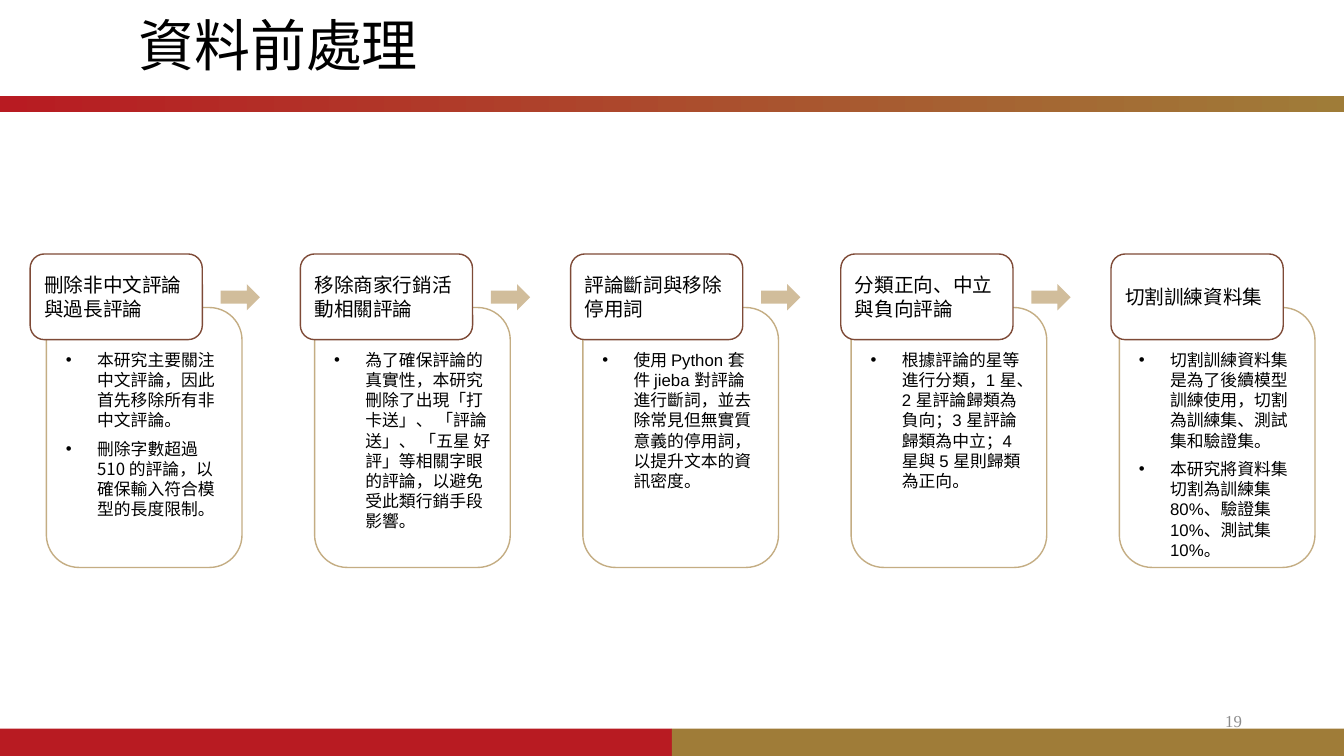
from dataclasses import dataclass

from lxml import etree
from pptx import Presentation
from pptx.dml.color import RGBColor
from pptx.enum.shapes import MSO_SHAPE
from pptx.enum.text import MSO_ANCHOR, PP_ALIGN
from pptx.oxml.ns import qn
from pptx.shapes.autoshape import Shape
from pptx.slide import Slide
from pptx.text.text import _Paragraph
from pptx.util import Cm, Pt

RECTANGLE, ROUNDED, ARROW = (
    MSO_SHAPE.RECTANGLE, MSO_SHAPE.ROUNDED_RECTANGLE, MSO_SHAPE.RIGHT_ARROW)
TOP, MIDDLE = MSO_ANCHOR.TOP, MSO_ANCHOR.MIDDLE
LEFT, RIGHT = PP_ALIGN.LEFT, PP_ALIGN.RIGHT

RED = RGBColor(0xB8, 0x1B, 0x22)
GOLD = RGBColor(0x9F, 0x7C, 0x38)
TAN = RGBColor(0xC4, 0xAD, 0x83)
SAND = RGBColor(0xD1, 0xBD, 0x9B)
BROWN = RGBColor(0x7E, 0x4A, 0x37)
WHITE = RGBColor(0xFF, 0xFF, 0xFF)
BLACK = RGBColor(0, 0, 0)
GREY = RGBColor(0x8C, 0x8C, 0x8C)

SERIF = "Times New Roman"
SANS = "Arial"
CJK_SC = "Noto Sans CJK SC"
CJK_TC = "Noto Sans CJK TC"

SLIDE_WIDTH, SLIDE_HEIGHT = 33.87, 19.05
FOOTER_HEIGHT = 0.69
HEADING_PITCH, DETAIL_PITCH = 6.81, 6.76
BULLET_INDENT = Cm(0.79)


@dataclass
class Step:
    heading: str
    details: list[str]
    font: str = SANS


STEPS = [
    Step("刪除非中文評論與過長評論",
         ["本研究主要關注中文評論，因此首先移除所有非中文評論。",
          "刪除字數超過 510 的評論，以確保輸入符合模型的長度限制。"], CJK_TC),
    Step("移除商家行銷活動相關評論",
         ["為了確保評論的真實性，本研究刪除了出現「打卡送」、 「評論送」、 "
          "「五星 好評」等相關字眼的評論，以避免受此類行銷手段影響。"]),
    Step("評論斷詞與移除停用詞",
         ["使用 Python 套件 jieba 對評論進行斷詞，並去除常見但無實質意義的停用詞，"
          "以提升文本的資訊密度。"]),
    Step("分類正向、中立與負向評論",
         ["根據評論的星等進行分類，1 星、2 星評論歸類為負向；3 星評論歸類為中立；"
          "4 星與 5 星則歸類為正向。"]),
    Step("切割訓練資料集",
         ["切割訓練資料集是為了後續模型訓練使用，切割為訓練集、測試集和驗證集。",
          "本研究將資料集切割為訓練集 80%、驗證集 10%、測試集 10%。"]),
]


def add_block(slide: Slide, kind: MSO_SHAPE, left: float, top: float,
              width: float, height: float, fill: RGBColor | None = None,
              line: RGBColor | None = None) -> Shape:
    block = slide.shapes.add_shape(kind, Cm(left), Cm(top), Cm(width), Cm(height))
    block.shadow.inherit = False
    if fill is None:
        block.fill.background()
    else:
        block.fill.solid()
        block.fill.fore_color.rgb = fill
    if line is None:
        block.line.fill.background()
    else:
        block.line.color.rgb = line
        block.line.width = Pt(1)
    return block


def format_text(paragraph: _Paragraph, size: float, font: str, cjk_font: str,
                color: RGBColor = BLACK, align: PP_ALIGN = LEFT) -> None:
    paragraph.alignment = align
    for run in paragraph.runs:
        run.font.size = Pt(size)
        run.font.name = font
        run.font.color.rgb = color
        latin = run.font._element.find(qn("a:latin"))
        latin.addnext(etree.Element(qn("a:ea"), typeface=cjk_font))


def add_bullet(paragraph: _Paragraph) -> None:
    properties = paragraph._p.get_or_add_pPr()
    properties.set("marL", str(BULLET_INDENT))
    properties.set("indent", str(-BULLET_INDENT))
    etree.SubElement(properties, qn("a:buFont"), typeface=SANS)
    etree.SubElement(properties, qn("a:buChar"), char="•")


def add_details(slide: Slide, step: Step, left: float) -> None:
    card = add_block(slide, ROUNDED, left, 7.75, 4.93, 6.55, line=TAN)
    frame = card.text_frame
    frame.word_wrap = True
    frame.vertical_anchor = TOP
    frame.margin_top = Cm(0.82)
    frame.text = "\n".join(step.details)
    for paragraph in frame.paragraphs:
        format_text(paragraph, 12, step.font, CJK_TC)
        paragraph.space_before = Pt(6)
        add_bullet(paragraph)


def add_heading(slide: Slide, step: Step, left: float) -> None:
    heading = add_block(slide, ROUNDED, left, 6.4, 4.34, 2.16, WHITE, BROWN)
    frame = heading.text_frame
    frame.word_wrap = True
    frame.vertical_anchor = MIDDLE
    frame.text = step.heading
    format_text(frame.paragraphs[0], 14, CJK_SC, CJK_SC)


def add_bands(slide: Slide) -> None:
    """Draw the two-colour footer and the gradient rule below the title."""
    half = SLIDE_WIDTH / 2
    for index, color in enumerate((RED, GOLD)):
        add_block(slide, RECTANGLE, index * half, SLIDE_HEIGHT - FOOTER_HEIGHT,
                  half, FOOTER_HEIGHT, color)
    rule = add_block(slide, RECTANGLE, 0, 2.42, SLIDE_WIDTH, 0.4, RED)
    rule.fill.gradient()
    rule.fill.gradient_angle = 0
    for stop, position, color in zip(rule.fill.gradient_stops, (0, 1), (RED, GOLD)):
        stop.position = position
        stop.color.rgb = color


def set_title(slide: Slide, text: str) -> None:
    title = slide.shapes.title
    title.left, title.top, title.width, title.height = Cm(3.23), Cm(0), Cm(29.2), Cm(2.43)
    title.text_frame.text = text
    title.text_frame.word_wrap = True
    title.text_frame.vertical_anchor = MIDDLE
    paragraph = title.text_frame.paragraphs[0]
    paragraph.line_spacing = 0.9
    format_text(paragraph, 40, SERIF, CJK_SC)


def add_page_number(slide: Slide, number: str) -> None:
    frame = slide.shapes.add_textbox(Cm(23.93), Cm(17.65), Cm(7.62), Cm(1.02)).text_frame
    frame.word_wrap = True
    frame.vertical_anchor = MIDDLE
    frame.text = number
    format_text(frame.paragraphs[0], 12, SERIF, CJK_SC, GREY, RIGHT)


def main() -> None:
    presentation = Presentation()
    presentation.slide_width = Cm(SLIDE_WIDTH)
    presentation.slide_height = Cm(SLIDE_HEIGHT)
    slide = presentation.slides.add_slide(presentation.slide_layouts[5])

    add_bands(slide)
    add_page_number(slide, "19")
    set_title(slide, "資料前處理")
    for index, step in enumerate(STEPS):
        add_details(slide, step, 1.17 + index * DETAIL_PITCH)
        add_heading(slide, step, 0.76 + index * HEADING_PITCH)
    for index in range(len(STEPS) - 1):
        add_block(slide, ARROW, 5.56 + index * HEADING_PITCH, 7.16, 0.99, 0.66, SAND)
    presentation.save("out.pptx")


if __name__ == "__main__":
    main()
